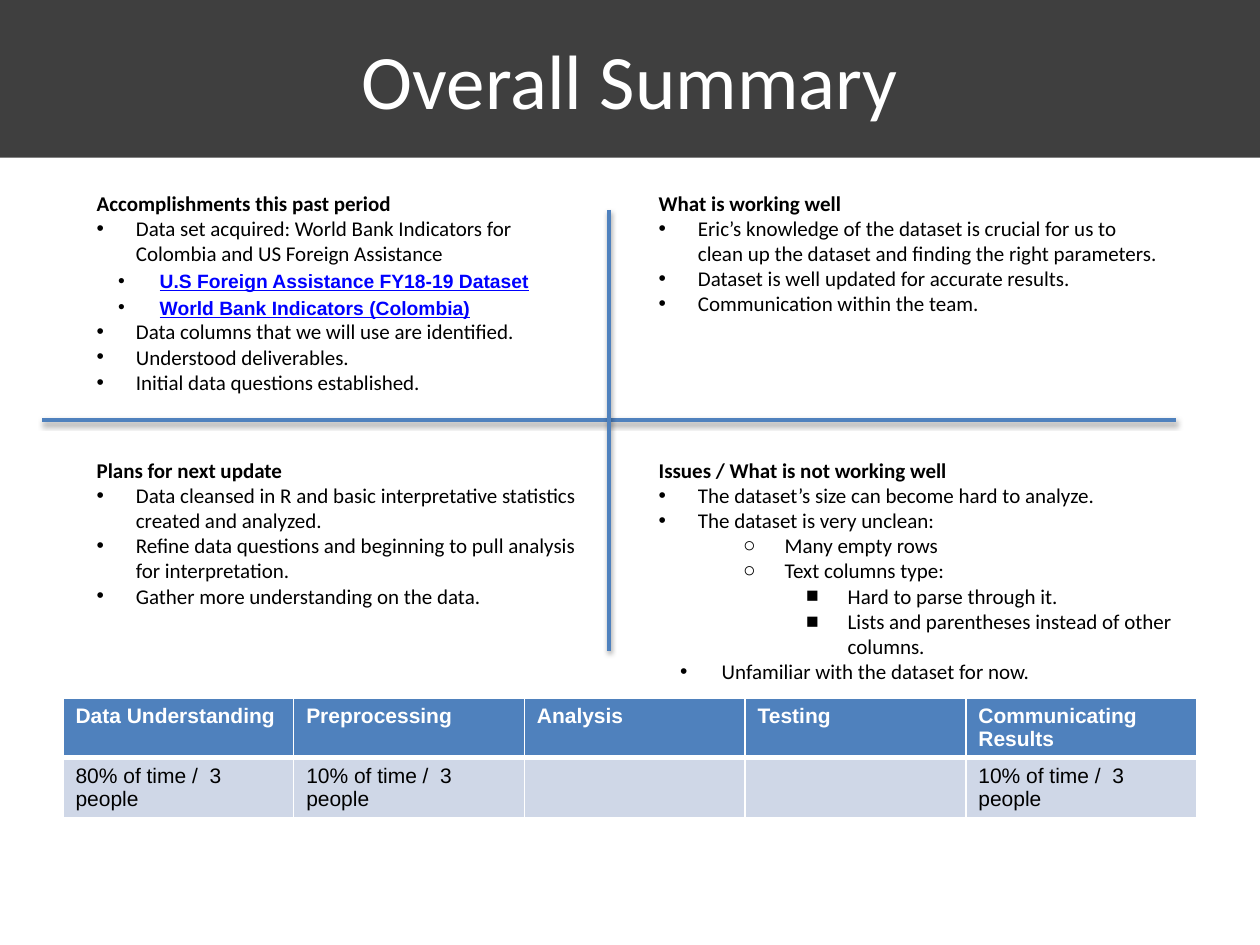
from dataclasses import dataclass
from typing import Optional

from lxml.etree import SubElement
from pptx import Presentation
from pptx.dml.color import RGBColor
from pptx.enum.shapes import MSO_CONNECTOR, MSO_SHAPE
from pptx.enum.text import MSO_ANCHOR, PP_ALIGN
from pptx.oxml.ns import qn
from pptx.util import Cm, Pt

WHITE, BLACK, BLUE, LINK = "FFFFFF", "000000", "4F81BD", "0000FF"
BANNER, BODY_FILL = "3F3F3F", "CFD7E7"


@dataclass(frozen=True)
class Style:
    size: float
    font: str = "Calibri"
    color: str = BLACK
    bold: bool = False
    underline: bool = False


@dataclass(frozen=True)
class Level:
    """Bullet, indents in centimetres and text style of one kind of item."""
    bullet: str
    margin: float
    hanging: float
    depth: int = 0
    style: Style = Style(12)
    spacing: Optional[float] = None


@dataclass(frozen=True)
class Quadrant:
    left: float
    top: float
    width: float
    height: float
    heading: str
    items: list[tuple[Level, str]]


HEADING = Style(12, bold=True)
POINT = Level("•", 0.79, 0.79)
LINK_POINT = Level("•", 1.27, 0.84, style=Style(11, "Arial", LINK, True, True), spacing=1.15)
INDENTED_POINT = Level("•", 1.27, 0.84)
SUB_POINT = Level("○", 2.54, 0.84, 1)
DETAIL = Level("■", 3.81, 0.84, 2)

LEFT, RIGHT, UPPER, LOWER = 1.7, 13.03, 3.71, 9.09
QUADRANTS = [
    Quadrant(RIGHT, UPPER, 10.67, 2.31, "What is working well", [
        (POINT, "Eric’s knowledge of the dataset is crucial for us to clean up the dataset "
                "and finding the right parameters."),
        (POINT, "Dataset is well updated for accurate results."),
        (POINT, "Communication within the team."),
    ]),
    Quadrant(LEFT, UPPER, 10.24, 3.86, "Accomplishments this past period", [
        (POINT, "Data set acquired: World Bank Indicators for Colombia and US Foreign Assistance"),
        (LINK_POINT, "U.S Foreign Assistance FY18-19 Dataset"),
        (LINK_POINT, "World Bank Indicators (Colombia)"),
        (POINT, "Data columns that we will use are identified."),
        (POINT, "Understood deliverables."),
        (POINT, "Initial data questions established."),
    ]),
    Quadrant(LEFT, LOWER, 10.67, 3.86, "Plans for next update", [
        (POINT, "Data cleansed in R and basic interpretative statistics created and analyzed."),
        (POINT, "Refine data questions and beginning to pull analysis for interpretation."),
        (POINT, "Gather more understanding on the data."),
    ]),
    Quadrant(RIGHT, LOWER, 11.79, 4.34, "Issues / What is not working well", [
        (POINT, "The dataset’s size can become hard to analyze."),
        (POINT, "The dataset is very unclean:"),
        (SUB_POINT, "Many empty rows"),
        (SUB_POINT, "Text columns type:"),
        (DETAIL, "Hard to parse through it."),
        (DETAIL, "Lists and parentheses instead of other columns."),
        (INDENTED_POINT, "Unfamiliar with the dataset for now."),
    ]),
]

PHASES = [
    ("Data Understanding", "80% of time /  3 people", 4.65),
    ("Preprocessing", "10% of time /  3 people", 4.65),
    ("Analysis", "", 4.45),
    ("Testing", "", 4.45),
    ("Communicating Results", "10% of time /  3 people", 4.65),
]


def rgb(color: str) -> RGBColor:
    return RGBColor.from_string(color)


def format_runs(paragraph, style: Style) -> None:
    for run in paragraph.runs:
        font = run.font
        font.name, font.size = style.font, Pt(style.size)
        font.bold, font.underline = style.bold, style.underline
        font.color.rgb = rgb(style.color)


def set_bullet(paragraph, level: Level) -> None:
    paragraph.level = level.depth
    if level.spacing:
        paragraph.line_spacing = level.spacing
    properties = paragraph._p.get_or_add_pPr()
    properties.set("marL", str(Cm(level.margin)))
    properties.set("indent", str(-Cm(level.hanging)))
    SubElement(SubElement(properties, qn("a:buClr")), qn("a:srgbClr"), val=BLACK)
    SubElement(properties, qn("a:buFont"), typeface="Arial")
    SubElement(properties, qn("a:buChar"), char=level.bullet)


def add_title(slide, text: str) -> None:
    banner = slide.shapes.add_shape(MSO_SHAPE.RECTANGLE, 0, 0, Cm(25.4), Cm(3.18))
    banner.shadow.inherit = False
    banner.fill.solid()
    banner.fill.fore_color.rgb = rgb(BANNER)
    banner.line.fill.background()
    text_frame = banner.text_frame
    text_frame.text = text
    text_frame.vertical_anchor = MSO_ANCHOR.MIDDLE
    text_frame.paragraphs[0].alignment = PP_ALIGN.CENTER
    format_runs(text_frame.paragraphs[0], Style(44, color=WHITE))


def add_quadrant(slide, quadrant: Quadrant) -> None:
    box = slide.shapes.add_textbox(Cm(quadrant.left), Cm(quadrant.top),
                                   Cm(quadrant.width), Cm(quadrant.height))
    text_frame = box.text_frame
    text_frame.word_wrap = True
    text_frame.text = "\n".join([quadrant.heading, *(text for _, text in quadrant.items)])
    heading, *points = text_frame.paragraphs
    format_runs(heading, HEADING)
    for paragraph, (level, _) in zip(points, quadrant.items):
        set_bullet(paragraph, level)
        format_runs(paragraph, level.style)


def set_borders(cell, **widths: float) -> None:
    """Draw white borders; widths in points are keyed by side: L, R, T, B."""
    properties = cell._tc.get_or_add_tcPr()
    for side, width in widths.items():
        border = SubElement(properties, qn(f"a:ln{side}"), w=str(Pt(width)))
        SubElement(SubElement(border, qn("a:solidFill")), qn("a:srgbClr"), val=WHITE)


def fill_cell(cell, text: str, fill: str, style: Style) -> None:
    cell.text = text
    format_runs(cell.text_frame.paragraphs[0], style)
    cell.fill.solid()
    cell.fill.fore_color.rgb = rgb(fill)


def add_phase_table(slide) -> None:
    total_width = sum(width for _, _, width in PHASES)
    table = slide.shapes.add_table(2, len(PHASES), Cm(1.27), Cm(14.07),
                                   Cm(total_width), Cm(2.4)).table
    for column, (phase, effort, width) in enumerate(PHASES):
        table.columns[column].width = Cm(width)
        header, body = table.cell(0, column), table.cell(1, column)
        set_borders(header, L=1, R=1, T=1, B=3)
        set_borders(body, L=1, R=1, T=3, B=1)
        fill_cell(header, phase, BLUE, Style(12, "Arial", WHITE, True))
        fill_cell(body, effort, BODY_FILL, Style(12, "Arial"))


def add_divider(slide, start: tuple[float, float], end: tuple[float, float]) -> None:
    divider = slide.shapes.add_connector(MSO_CONNECTOR.STRAIGHT, *map(Cm, start + end))
    divider.line.color.rgb = rgb(BLUE)
    divider.line.width = Pt(2)
    effects = SubElement(divider._element.spPr, qn("a:effectLst"))
    shadow = SubElement(effects, qn("a:outerShdw"), blurRad=str(Pt(3.1)), dist=str(Pt(1.6)),
                        dir=str(90 * 60000), rotWithShape="0")
    color = SubElement(shadow, qn("a:srgbClr"), val=BLACK)
    SubElement(color, qn("a:alpha"), val="38000")


def main() -> None:
    presentation = Presentation()
    presentation.slide_width, presentation.slide_height = Cm(25.4), Cm(19.05)
    slide = presentation.slides.add_slide(presentation.slide_layouts[6])
    add_title(slide, "Overall Summary")
    add_phase_table(slide)
    for quadrant in QUADRANTS:
        add_quadrant(slide, quadrant)
    add_divider(slide, (0.85, 8.47), (23.71, 8.47))
    add_divider(slide, (12.28, 4.23), (12.28, 13.12))
    presentation.save("out.pptx")


if __name__ == "__main__":
    main()
